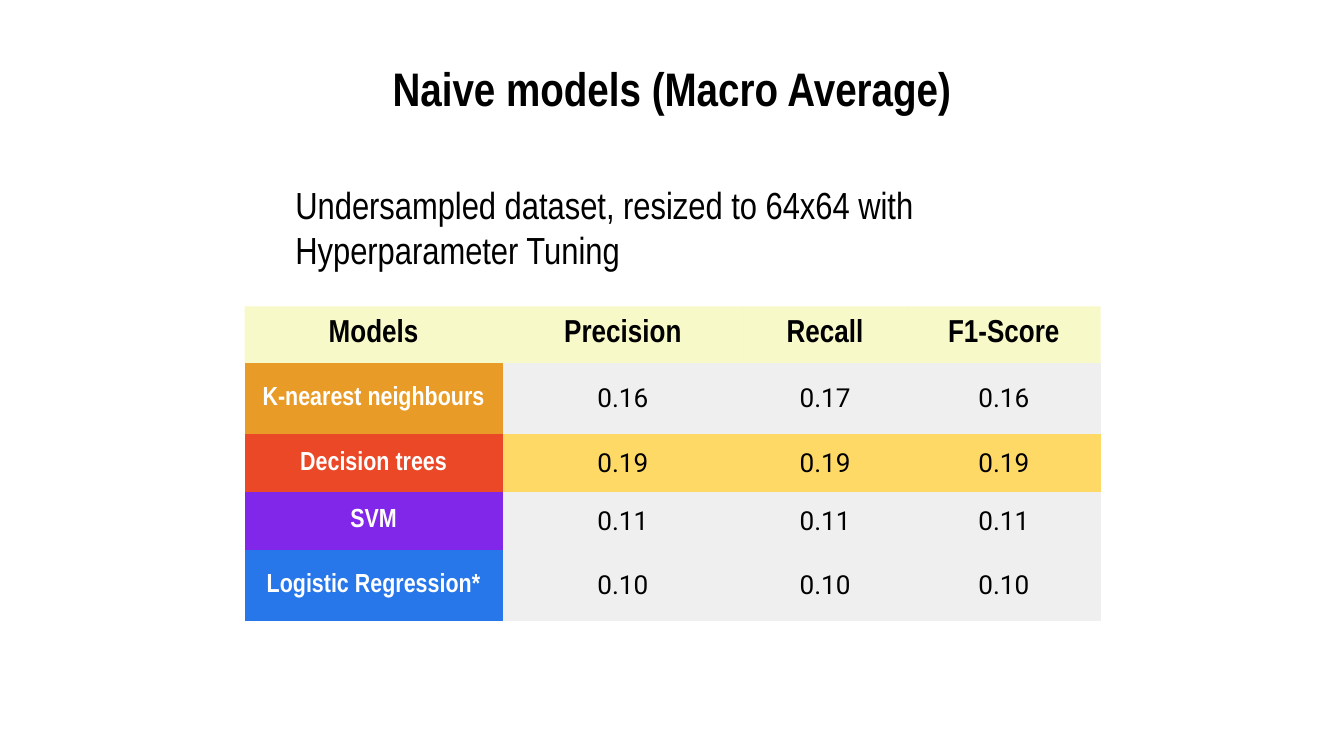
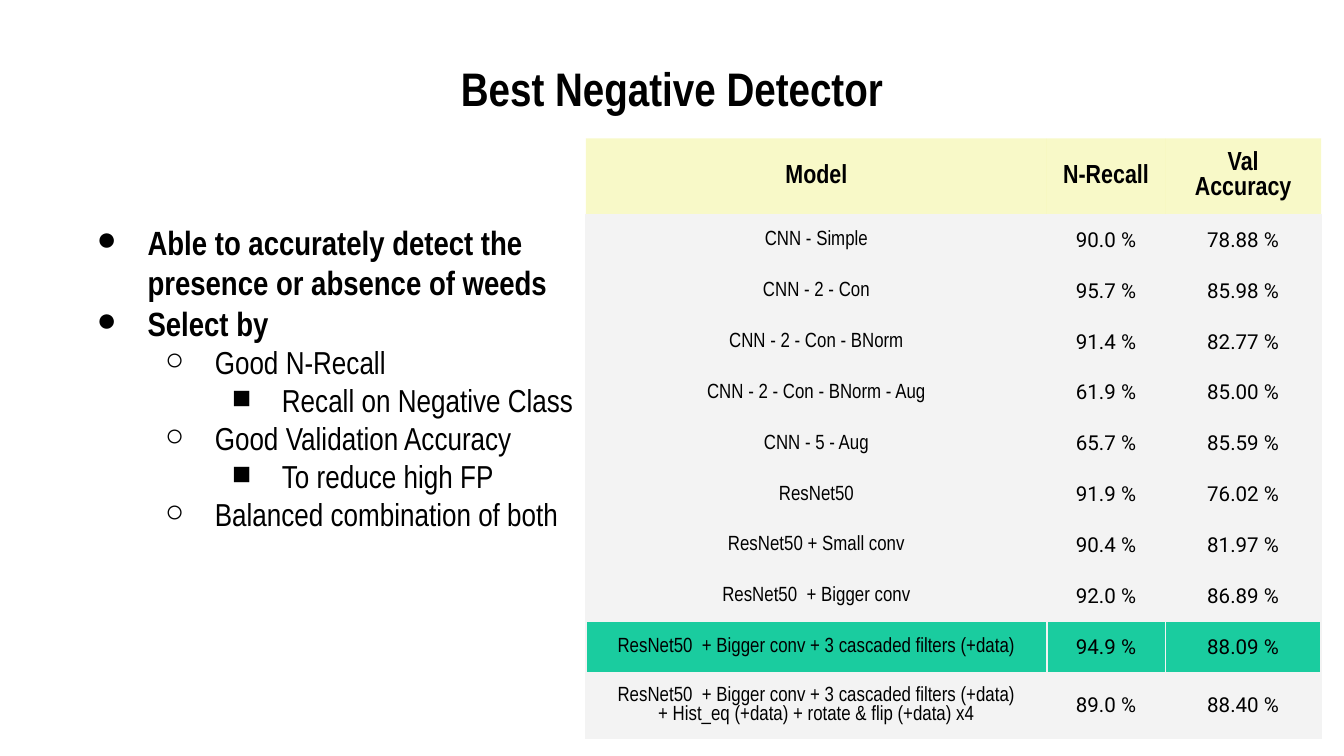
from lxml import etree
from pptx import Presentation
from pptx.dml.color import RGBColor
from pptx.enum import text
from pptx.oxml import ns
from pptx.util import Inches, Pt

HUES = {
    "ink": "000000", "white": "FFFFFF", "head": "E4EA27", "pale": "EFEFEF",
    "gold": "FFD966", "orange": "E99B27", "red": "EA4827", "violet": "8027EA",
    "blue": "2776EA", "grey": "F3F3F3", "green": "1ACC9F",
}
NARROW, ROBOTO = "Arial Narrow", "Roboto"
PLAIN = "{2D5ABB26-0587-4C30-8999-92F81FD0307C}"
LEFT, MID = text.PP_ALIGN.LEFT, text.PP_ALIGN.CENTER
TITLE = (0.5, 0.45, 9, 0.41)

SCORES = [
    ("K-nearest neighbours", "orange", "pale", 0.53, (0.16, 0.17, 0.16)),
    ("Decision trees", "red", "gold", 0.38, (0.19, 0.19, 0.19)),
    ("SVM", "violet", "pale", 0.38, (0.11, 0.11, 0.11)),
    ("Logistic Regression*", "blue", "pale", 0.53, (0.10, 0.10, 0.10)),
]
BIG = "ResNet50  + Bigger conv"
FILTERS = BIG + " + 3 cascaded filters (+data)"
NETS = [
    ("CNN - Simple", 90.0, 78.88),
    ("CNN - 2 - Con", 95.7, 85.98),
    ("CNN - 2 - Con - BNorm", 91.4, 82.77),
    ("CNN - 2 - Con - BNorm - Aug", 61.9, 85.00),
    ("CNN - 5 - Aug", 65.7, 85.59),
    ("ResNet50", 91.9, 76.02),
    ("ResNet50 + Small conv", 90.4, 81.97),
    (BIG, 92.0, 86.89),
    (FILTERS, 94.9, 88.09),
    (FILTERS + "\n+ Hist_eq (+data) + rotate & flip (+data) x4", 89.0, 88.40),
]
POINTS = [
    (0, "Able to accurately detect the\vpresence or absence of weeds"),
    (0, "Select by"),
    (1, "Good N-Recall"),
    (2, "Recall on Negative Class"),
    (1, "Good Validation Accuracy"),
    (2, "To reduce high FP"),
    (1, "Balanced combination of both"),
]


def add(parent, tag, **attrs):
    """Append a drawing element."""
    node = etree.SubElement(parent, ns.qn("a:" + tag))
    for key, value in attrs.items():
        node.set(key, str(value))
    return node


def style(para, words, size=18, font=NARROW, hue="ink", bold=False, align=LEFT):
    """Fill and format one paragraph."""
    para.text = words
    para.alignment = align
    para.line_spacing = 1.0
    for run in para.runs:
        run.font.size, run.font.name, run.font.bold = Pt(size), font, bold
        run.font.color.rgb = RGBColor.from_string(HUES[hue])


def write(frame, words, **form):
    """Write each line of words as a paragraph."""
    for i, line in enumerate(words.split("\n")):
        style(frame.paragraphs[0] if i == 0 else frame.add_paragraph(), line, **form)


def setup(frame):
    """Set wrapping, middle anchor and even insets."""
    frame.word_wrap = True
    frame.auto_size = text.MSO_AUTO_SIZE.NONE
    frame.vertical_anchor = text.MSO_ANCHOR.MIDDLE
    frame.margin_left = frame.margin_right = Inches(0.1)
    frame.margin_top = frame.margin_bottom = Inches(0.1)
    return frame


def indent(para, left, hang=0, mark=None):
    """Set the indent and bullet of a paragraph."""
    props = para._p.get_or_add_pPr()
    props.set("marL", str(Inches(left)))
    props.set("indent", str(Inches(hang)))
    if mark:
        add(props, "buFont", typeface=NARROW)
        add(props, "buChar", char=mark)


def start(deck, words):
    """Add a slide with its title."""
    slide = deck.slides.add_slide(deck.slide_layouts[5])
    head = slide.shapes.title
    head.left, head.top, head.width, head.height = map(Inches, TITLE)
    write(setup(head.text_frame), words, size=25.2, bold=True, align=MID)
    return slide


def frame_at(slide, box):
    """Add a text box and return its frame."""
    return setup(slide.shapes.add_textbox(*map(Inches, box)).text_frame)


def edge(cell, sides):
    """Draw thin grey borders on the given sides."""
    props = cell._tc.get_or_add_tcPr()
    for i, side in enumerate(sides):
        line = add(props, "ln" + side, w=Pt(0.75))
        add(add(line, "solidFill"), "srgbClr", val=HUES["grey"])
        props.insert(i, line)


def put(cell, words, fill, **form):
    """Fill and write one centred cell."""
    cell.fill.solid()
    cell.fill.fore_color.rgb = RGBColor.from_string(HUES[fill])
    cell.vertical_anchor = text.MSO_ANCHOR.MIDDLE
    cell.margin_left = cell.margin_right = Inches(0.1)
    cell.margin_top = cell.margin_bottom = Inches(0.1)
    write(cell.text_frame, words, align=MID, **form)


def grid(slide, spot, cols, rows, heads, size):
    """Add a plain table with a translucent header row."""
    box = (*spot, sum(cols), sum(rows))
    table = slide.shapes.add_table(len(rows), len(cols), *map(Inches, box)).table
    table.first_row = table.horz_banding = False
    table._tbl.tblPr.find(ns.qn("a:tableStyleId")).text = PLAIN
    for col, width in zip(table.columns, cols):
        col.width = Inches(width)
    for row, height in zip(table.rows, rows):
        row.height = Inches(height)
    for cell, words in zip(table.rows[0].cells, heads):
        put(cell, words, "head", size=size, bold=True)
        tint = cell._tc.tcPr.find(".//" + ns.qn("a:srgbClr"))
        add(tint, "alpha", val=25000)
    return table


def naive(deck):
    """Build the slide of naive model scores."""
    slide = start(deck, "Naive models (Macro Average)")
    rows = [0] + [score[3] for score in SCORES]
    table = grid(slide, (1.82, 2.28), (1.92, 1.79, 1.22, 1.44), rows,
                 ("Models", "Precision", "Recall", "F1-Score"), 17)
    for r, (name, hue, fill, _, marks) in enumerate(SCORES, 1):
        put(table.cell(r, 0), name, hue, size=14, hue="white", bold=True)
        for c, mark in enumerate(marks, 1):
            put(table.cell(r, c), f"{mark:.2f}", fill, size=14, font=ROBOTO)
    note = frame_at(slide, (1.66, 1.1, 6.86, 1.18))
    write(note, "Undersampled dataset, resized to 64x64 with Hyperparameter Tuning",
          size=20.2)
    indent(note.paragraphs[0], 0.44)


def points(slide, box):
    """Write the bulleted list."""
    frame = frame_at(slide, box)
    for i, (level, words) in enumerate(POINTS):
        para = frame.paragraphs[0] if i == 0 else frame.add_paragraph()
        para.level = level
        style(para, words, size=17 if level else 18, bold=level == 0)
        indent(para, 0.5 * (level + 1), -0.37 if level else -0.38, "●○■"[level])


def best(deck):
    """Build the slide of negative detectors."""
    slide = start(deck, "Best Negative Detector")
    points(slide, (0.5, 1.03, 8.67, 3.56))
    rows = [0.46] + [0.36] * len(NETS)
    table = grid(slide, (4.36, 1.03), (3.43, 0.88, 1.16), rows,
                 ("Model", "N-Recall", "Val Accuracy"), 14)
    for cell in table.rows[0].cells:
        edge(cell, "B")
    for r, (name, recall, score) in enumerate(NETS, 1):
        fill = "green" if name == FILTERS else "grey"
        put(table.cell(r, 0), name, fill, size=11)
        put(table.cell(r, 1), f"{recall:.1f} %", fill, size=11, font=ROBOTO)
        put(table.cell(r, 2), f"{score:.2f} %", fill, size=11, font=ROBOTO)
        for cell in table.rows[r].cells:
            edge(cell, "LRTB")


def main():
    """Build and save the deck."""
    deck = Presentation()
    deck.slide_width = Inches(10)
    deck.slide_height = deck.slide_width * 9 // 16
    naive(deck)
    best(deck)
    deck.save("out.pptx")


if __name__ == "__main__":
    main()
